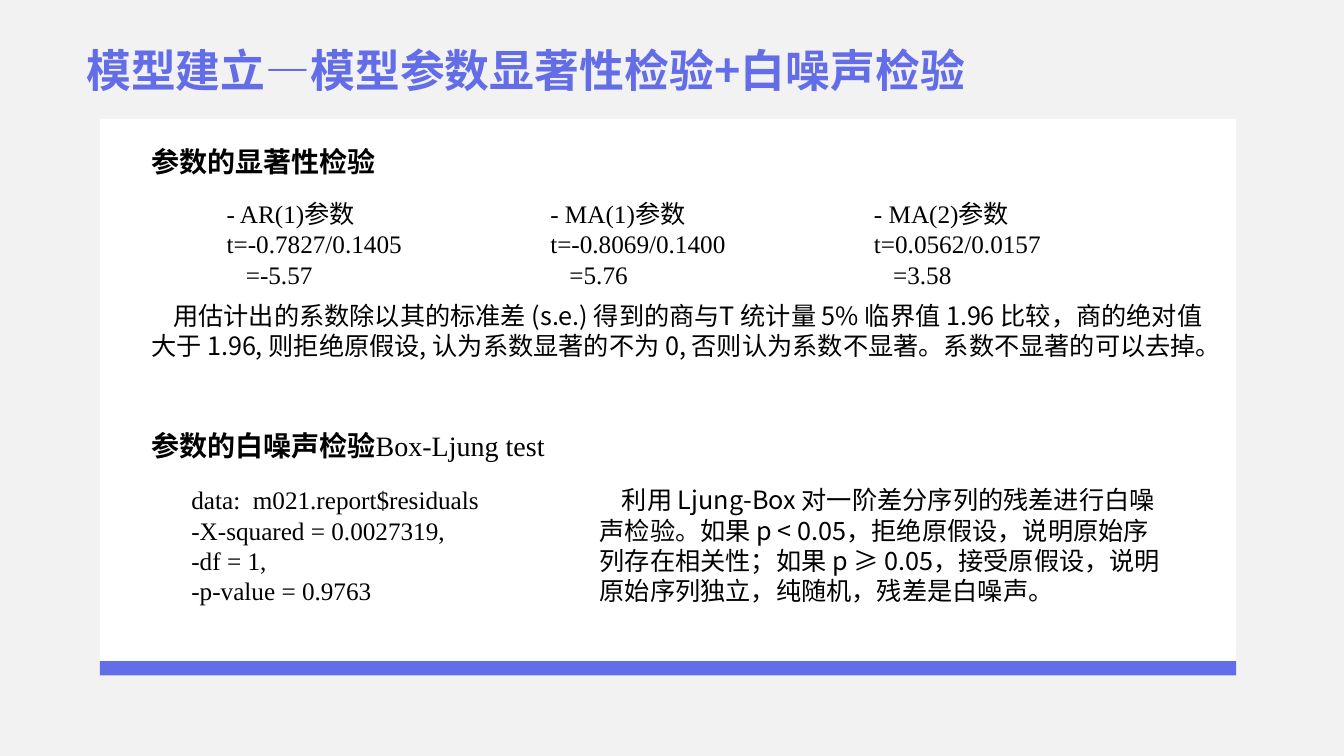
from dataclasses import dataclass

from lxml.etree import SubElement
from pptx import Presentation
from pptx.dml.color import RGBColor
from pptx.enum.shapes import MSO_SHAPE
from pptx.enum.text import MSO_ANCHOR, MSO_AUTO_SIZE, PP_ALIGN
from pptx.oxml.ns import qn
from pptx.util import Inches, Pt


@dataclass(frozen=True)
class Theme:
    background: str = "F2F2F2"
    card: str = "FFFFFF"
    accent: str = "636DE8"
    ink: str = "000000"
    title_font: str = "Noto Sans CJK JP"
    chinese_font: str = "Noto Sans CJK SC"
    latin_font: str = "Times New Roman"
    title_size: int = 32
    heading_size: int = 20
    body_size: int = 18


class SlideBuilder:
    def __init__(self, deck, theme):
        self.theme = theme
        self.page = deck.slides.add_slide(deck.slide_layouts[5])
        fill = self.page.background.fill
        fill.solid()
        fill.fore_color.rgb = RGBColor.from_string(theme.background)

    def style(self, para, font_name, size, color, bold=False):
        """Format a whole paragraph, for Latin and Chinese letters alike."""
        font = para.font
        font.name = font_name
        font.size = Pt(size)
        font.bold = bold
        font.color.rgb = RGBColor.from_string(color)
        east_asian = font_name
        if font_name == self.theme.latin_font:
            east_asian = self.theme.chinese_font
        properties = para._p.get_or_add_pPr().get_or_add_defRPr()
        SubElement(properties, qn("a:ea")).set("typeface", east_asian)

    def frame(self, box):
        frame = box.text_frame
        frame.word_wrap = True
        frame.auto_size = MSO_AUTO_SIZE.SHAPE_TO_FIT_TEXT
        frame.vertical_anchor = MSO_ANCHOR.TOP
        return frame

    def title(self, text, left, top, width, height):
        box = self.page.shapes.title
        box.left, box.top = Inches(left), Inches(top)
        box.width, box.height = Inches(width), Inches(height)
        para = self.frame(box).paragraphs[0]
        para.text = text
        para.alignment = PP_ALIGN.CENTER
        theme = self.theme
        self.style(para, theme.title_font, theme.title_size, theme.accent, bold=True)

    def panel(self, left, top, width, height, color):
        shape = self.page.shapes.add_shape(
            MSO_SHAPE.ROUNDED_RECTANGLE,
            Inches(left), Inches(top), Inches(width), Inches(height),
        )
        shape.adjustments[0] = 0
        shape.shadow.inherit = False
        shape.fill.solid()
        shape.fill.fore_color.rgb = RGBColor.from_string(color)
        shape.line.fill.background()

    def text(self, lines, left, top, width, height, font_name, size=None,
             bold=False, indents=None):
        """Add a text box; indents maps a line number to its first-line indent."""
        box = self.page.shapes.add_textbox(
            Inches(left), Inches(top), Inches(width), Inches(height))
        frame = self.frame(box)
        for number, line in enumerate(lines):
            para = frame.add_paragraph() if number else frame.paragraphs[0]
            para.text = line
            self.style(para, font_name, size or self.theme.body_size,
                       self.theme.ink, bold)
            if indents and number in indents:
                properties = para._p.get_or_add_pPr()
                properties.set("marL", "0")
                properties.set("indent", str(Inches(indents[number])))
        return frame

    def heading(self, text, left, top, width, height, suffix=None):
        theme = self.theme
        frame = self.text([text], left, top, width, height,
                          theme.chinese_font, theme.heading_size, bold=True)
        if suffix:
            span = frame.paragraphs[0].add_run()
            span.text = suffix
            span.font.name = theme.latin_font
            span.font.bold = False

    def explanation(self, text, left, top, width, height):
        self.text([text], left, top, width, height,
                  self.theme.chinese_font, indents={0: 0.22})


def main():
    deck = Presentation()
    deck.slide_width, deck.slide_height = Inches(13.33), Inches(7.5)
    theme = Theme()
    slide = SlideBuilder(deck, theme)

    slide.title("模型建立—模型参数显著性检验+白噪声检验", 0.53, 0.37, 9.37, 0.64)
    slide.panel(0.99, 1.18, 11.27, 5.52, theme.card)
    slide.panel(0.99, 6.56, 11.27, 0.14, theme.accent)

    slide.heading("参数的显著性检验", 1.4, 1.38, 4.88, 0.44)
    parameter_tests = [
        ("AR(1)", "-0.7827/0.1405", "-5.57"),
        ("MA(1)", "-0.8069/0.1400", "5.76"),
        ("MA(2)", "0.0562/0.0157", "3.58"),
    ]
    for column, (name, ratio, result) in enumerate(parameter_tests):
        slide.text([f"- {name}参数", f"t={ratio}", f"={result}"],
                   2.15 + 3.21 * column, 1.92, 2.53, 1.01,
                   theme.latin_font, indents={2: 0.19})
    slide.explanation(
        "用估计出的系数除以其的标准差 (s.e.) 得到的商与T 统计量 5% 临界值 1.96 "
        "比较，商的绝对值大于 1.96, 则拒绝原假设, 认为系数显著的不为 0, "
        "否则认为系数不显著。系数不显著的可以去掉。",
        1.4, 2.93, 10.66, 1.01)

    slide.heading("参数的白噪声检验", 1.4, 4.2, 4.88, 0.77, suffix="Box-Ljung test")
    slide.text(
        ["data:  m021.report$residuals", "-X-squared = 0.0027319,",
         "-df = 1,", "-p-value = 0.9763"],
        1.8, 4.76, 3.23, 1.31, theme.latin_font)
    slide.explanation(
        "利用 Ljung-Box 对一阶差分序列的残差进行白噪声检验。如果 p < 0.05，"
        "拒绝原假设，说明原始序列存在相关性；如果 p ≥ 0.05，接受原假设，"
        "说明原始序列独立，纯随机，残差是白噪声。",
        5.85, 4.76, 5.83, 1.31)

    deck.save("out.pptx")


if __name__ == "__main__":
    main()
